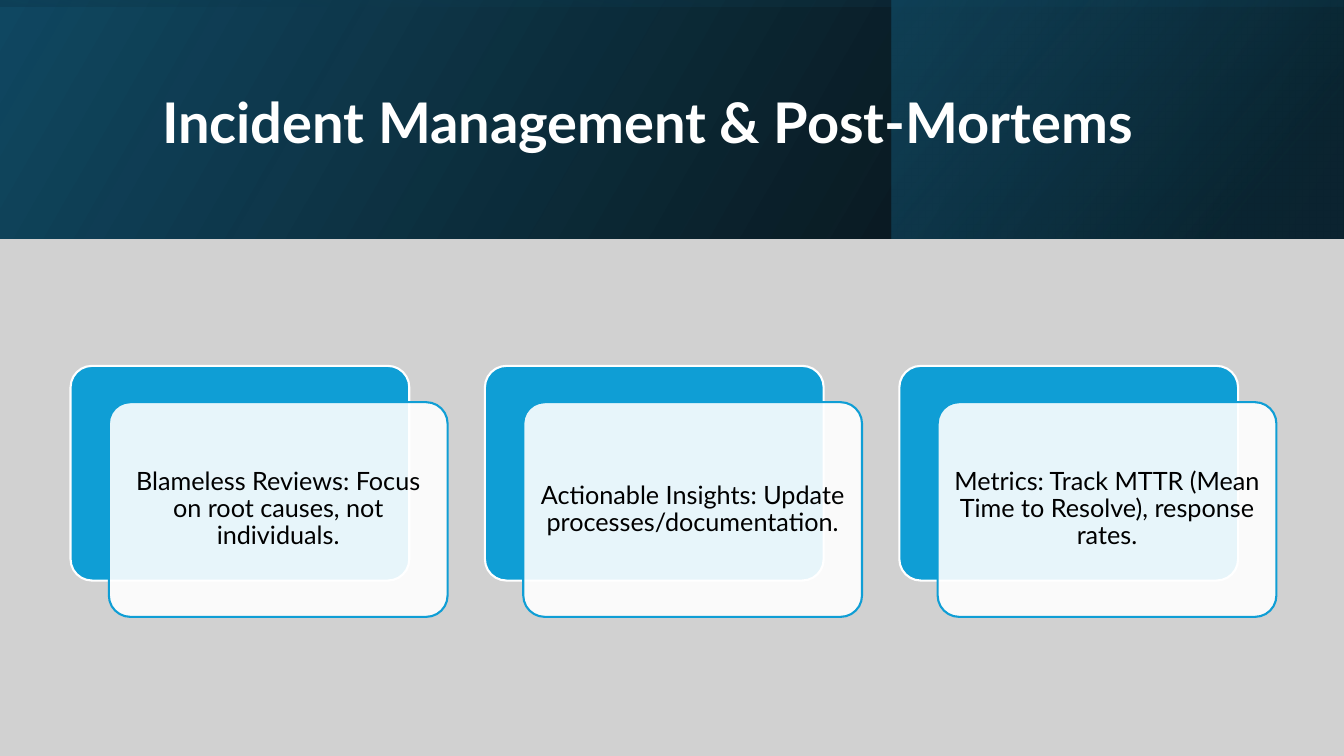
from lxml import etree
from pptx import Presentation
from pptx.dml.color import RGBColor
from pptx.enum import shapes, text
from pptx.oxml.ns import qn
from pptx.util import Inches, Pt

FONT = "Lato"
WHITE, BLACK, BLUE = "FFFFFF", "000000", "0F9ED5"


def color(code):
    return RGBColor.from_string(code)


def add_alpha(node, pct):
    etree.SubElement(node, qn("a:alpha"), val=str(pct * 1000))


def add_box(slide, kind, left, top, width, height):
    box = slide.shapes.add_shape(
        kind, Inches(left), Inches(top), Inches(width), Inches(height))
    box.shadow.inherit = False
    return box


def write(box, words, size, shade, bold=False):
    frame = box.text_frame
    frame.word_wrap = True
    frame.vertical_anchor = text.MSO_ANCHOR.MIDDLE
    frame.text = words
    para = frame.paragraphs[0]
    para.line_spacing = 0.9
    font = para.runs[0].font
    font.name, font.size, font.bold = FONT, Pt(size), bold
    font.color.rgb = color(shade)
    return para


def add_fade(slide, left, top, width, height, angle, stops, turn=0):
    """Mirrored rectangle with a translucent gradient."""
    box = add_box(slide, shapes.MSO_SHAPE.RECTANGLE, left, top, width, height)
    box.rotation = turn
    box.line.fill.background()
    box.fill.gradient()
    props = box._element.spPr
    props.find(qn("a:xfrm")).set("flipH", "1")
    grad = props.find(qn("a:gradFill"))
    grad.find(qn("a:lin")).set("ang", str(angle * 60000))
    grad.find(qn("a:lin")).set("scaled", "0")
    stop_list = grad.find(qn("a:gsLst"))
    for old in list(stop_list):
        stop_list.remove(old)
    for pos, code, alpha in stops:
        stop = etree.SubElement(stop_list, qn("a:gs"), pos=str(pos * 1000))
        tint = etree.SubElement(stop, qn("a:srgbClr"), val=code)
        if alpha < 100:
            add_alpha(tint, alpha)


def add_banner(slide, left, top, width, height, title):
    # Base, right panel and overall shading
    add_fade(slide, left, top, width, height, 330,
             [(0, BLACK, 96), (100, "104862", 100)])
    add_fade(slide, left + 8.84, top, 4.48, height, 320,
             [(19, "0B3041", 68), (100, "156082", 48)])
    shift = (width - height) / 2
    add_fade(slide, left + shift, top - shift, height, width, 350,
             [(23, "104862", 16), (99, BLACK, 45)], turn=270)
    # Title
    box = slide.shapes.add_textbox(
        Inches(left + 1.51), Inches(top + 0.38), Inches(10.63), Inches(1.72))
    write(box, title, 40, WHITE, bold=True)


def add_card(slide, left, top, width, height, words):
    # Blue back plate, then the translucent front plate
    for dx, dy, fill, line in ((0, 0, BLUE, WHITE), (0.38, 0.36, WHITE, BLUE)):
        plate = add_box(slide, shapes.MSO_SHAPE.ROUNDED_RECTANGLE,
                        left + dx, top + dy, width, height)
        plate.adjustments[0] = 0.1
        plate.fill.solid()
        plate.fill.fore_color.rgb = color(fill)
        plate.line.color.rgb = color(line)
        plate.line.width = Pt(1.5)
    add_alpha(plate._element.spPr.find(qn("a:solidFill"))[0], 90)
    # Text on the front plate
    frame = plate.text_frame
    frame.margin_left = frame.margin_right = Inches(0.07)
    frame.margin_top = frame.margin_bottom = Inches(0.07)
    write(plate, words, 18, BLACK).alignment = text.PP_ALIGN.CENTER


def add_cards(slide, left, top, notes):
    for i, words in enumerate(notes):
        add_card(slide, left + i * 4.11, top, 3.36, 2.13, words)


def main():
    deck = Presentation()
    deck.slide_width, deck.slide_height = Inches(13.33), Inches(7.5)
    slide = deck.slides.add_slide(deck.slide_layouts[6])
    slide.background.fill.solid()
    slide.background.fill.fore_color.rgb = color("D1D1D1")
    add_banner(slide, 0, 0, 13.33, 2.37, "Incident Management & Post-Mortems")
    add_cards(slide, 0.7, 3.63, [
        "Blameless Reviews: Focus on root causes, not individuals.",
        "Actionable Insights: Update processes/documentation.",
        "Metrics: Track MTTR (Mean Time to Resolve), response rates.",
    ])
    deck.save("out.pptx")


if __name__ == "__main__":
    main()
